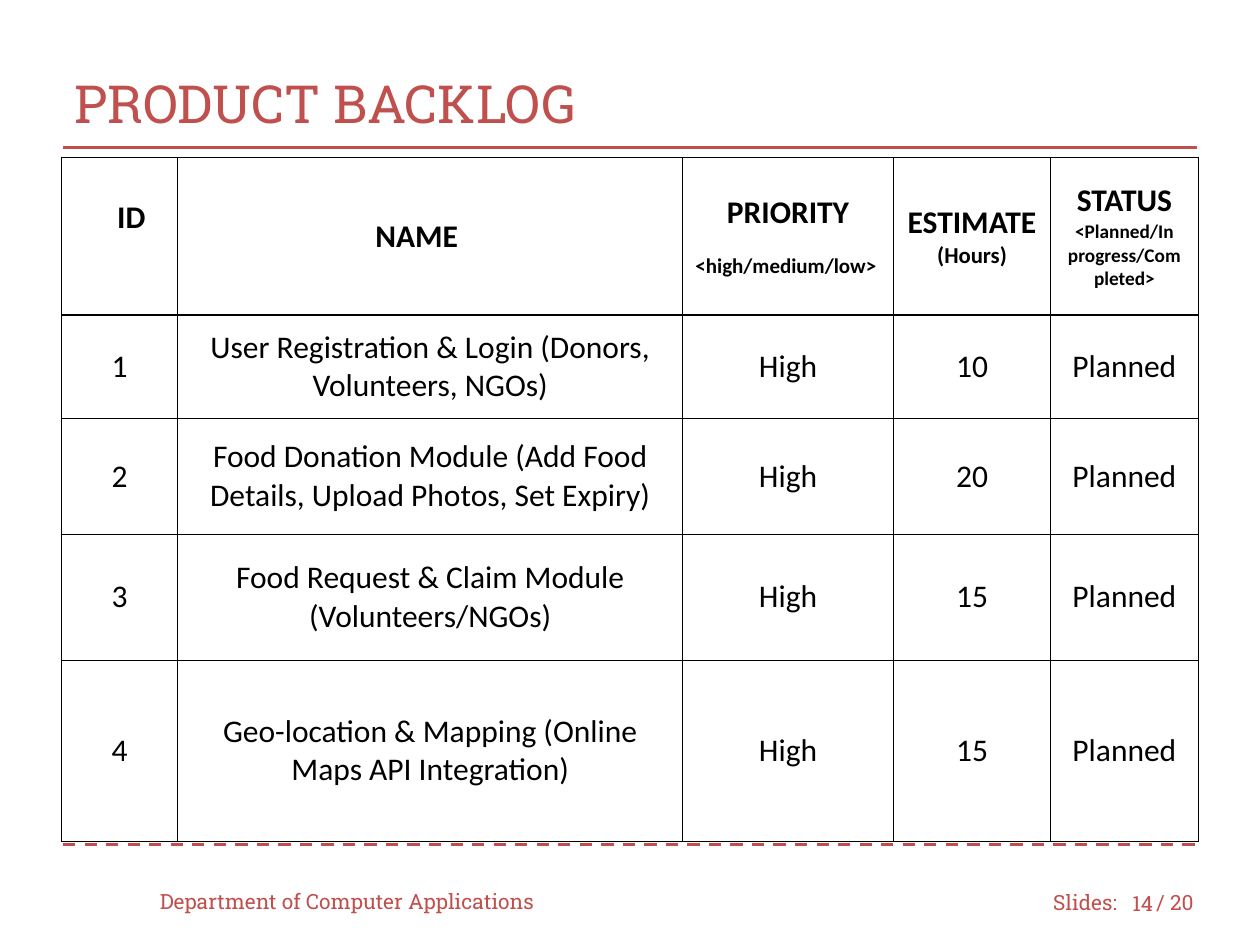
from lxml import etree
from pptx import Presentation
from pptx.dml.color import RGBColor
from pptx.enum.dml import MSO_LINE
from pptx.enum.shapes import MSO_CONNECTOR
from pptx.enum.text import MSO_ANCHOR, PP_ALIGN
from pptx.oxml.ns import qn
from pptx.util import Inches, Pt

LEFT, CENTER, RIGHT = PP_ALIGN.LEFT, PP_ALIGN.CENTER, PP_ALIGN.RIGHT
MIDDLE = MSO_ANCHOR.MIDDLE
STRAIGHT = MSO_CONNECTOR.STRAIGHT
DASH = MSO_LINE.DASH

RED, BLACK, WHITE = "C0504D", "000000", "FFFFFF"
SLAB, SANS = "Roboto Slab", "Calibri"

COLUMN_WIDTHS = [0.92, 4.01, 1.67, 1.25, 1.17]
ROW_HEIGHTS = [1.25, 0.82, 0.92, 1, 1.44]
HEADERS = [
    [("ID", 18)],
    [("NAME", 18)],
    [("PRIORITY", 18), ("<high/medium/low>", 12)],
    [("ESTIMATE", 18), ("(Hours)", 13)],
    [("STATUS", 18), ("<Planned/In progress/Completed>", 11)],
]
BACKLOG = [
    ("User Registration & Login (Donors, Volunteers, NGOs)", 10),
    ("Food Donation Module (Add Food Details, Upload Photos, Set Expiry)", 20),
    ("Food Request & Claim Module (Volunteers/NGOs)", 15),
    ("Geo-location & Mapping (Online Maps API Integration)", 15),
]


def color(value):
    return RGBColor.from_string(value)


def style_paragraph(para, size, font, tint, align=LEFT, bold=False):
    para.alignment = align
    para.font.size = Pt(size)
    para.font.name = font
    para.font.bold = bold
    para.font.color.rgb = color(tint)


def place(shape, left, top, width, height):
    shape.left, shape.top = Inches(left), Inches(top)
    shape.width, shape.height = Inches(width), Inches(height)


def add_title(page, text):
    title = page.shapes.title
    place(title, 0.49, 0.35, 9, 0.92)
    title.text_frame.text = text
    title.text_frame.vertical_anchor = MIDDLE
    style_paragraph(title.text_frame.paragraphs[0], 30, SLAB, RED)


def add_label(page, text, left, top, width, align=LEFT):
    box = page.shapes.add_textbox(Inches(left), Inches(top), Inches(width), Inches(0.4))
    frame = box.text_frame
    frame.word_wrap = True
    frame.vertical_anchor = MIDDLE
    frame.text = text
    style_paragraph(frame.paragraphs[0], 12, SLAB, RED, align)


def add_rule(page, top, dash=None):
    rule = page.shapes.add_connector(
        STRAIGHT, Inches(0.5), Inches(top), Inches(9.5), Inches(top))
    rule.line.color.rgb = color(RED)
    rule.line.width = Pt(1.75)
    if dash:
        rule.line.dash_style = dash
    etree.SubElement(rule.element.spPr, qn("a:effectLst"))


def add_borders(cell):
    properties = cell._tc.get_or_add_tcPr()
    for side in ("lnL", "lnR", "lnT", "lnB"):
        border = etree.SubElement(properties, qn(f"a:{side}"), w=str(Pt(0.75)))
        fill = etree.SubElement(border, qn("a:solidFill"))
        etree.SubElement(fill, qn("a:srgbClr"), val=BLACK)


def fill_cell(cell, lines, bold=False):
    add_borders(cell)
    cell.fill.solid()
    cell.fill.fore_color.rgb = color(WHITE)
    cell.vertical_anchor = MIDDLE
    cell.margin_left = cell.margin_right = Inches(0.1)
    cell.margin_top = cell.margin_bottom = Inches(0.1)
    cell.text = "\n".join(text for text, size in lines)
    for para, (text, size) in zip(cell.text_frame.paragraphs, lines):
        style_paragraph(para, size, SANS, BLACK, CENTER, bold)


def adjust_headers(table):
    for column, indent in ((0, 0.44), (1, 1.57)):
        cell = table.cell(0, column)
        cell.margin_left = Inches(indent)
        cell.text_frame.paragraphs[0].alignment = LEFT
    table.cell(0, 0).margin_bottom = Inches(0.4)
    scale = table.cell(0, 2).text_frame.paragraphs[1]
    scale.alignment = LEFT
    scale.space_before = Pt(12)


def add_backlog(page):
    frame = page.shapes.add_table(
        len(ROW_HEIGHTS), len(COLUMN_WIDTHS), Inches(0.49), Inches(1.25),
        Inches(sum(COLUMN_WIDTHS)), Inches(sum(ROW_HEIGHTS)))
    table = frame.table
    for column, width in zip(table.columns, COLUMN_WIDTHS):
        column.width = Inches(width)
    for row, height in zip(table.rows, ROW_HEIGHTS):
        row.height = Inches(height)
    for column, lines in enumerate(HEADERS):
        fill_cell(table.cell(0, column), lines, bold=True)
    for number, (name, hours) in enumerate(BACKLOG, start=1):
        values = (number, name, "High", hours, "Planned")
        for column, value in enumerate(values):
            fill_cell(table.cell(number, column), [(str(value), 18)])
    adjust_headers(table)


def main():
    deck = Presentation()
    deck.slide_width, deck.slide_height = Inches(10), Inches(7.5)
    page = deck.slides.add_slide(deck.slide_layouts[5])
    add_label(page, "Slides:", 8.26, 6.96, 0.75)
    add_label(page, "/ 20", 9.08, 6.96, 0.58)
    add_rule(page, 6.7, DASH)
    add_rule(page, 1.17)
    add_title(page, "PRODUCT BACKLOG")
    add_label(page, "Department of Computer Applications", 1.17, 6.95, 3.33)
    add_label(page, "14", 8.83, 6.97, 0.42, RIGHT)
    add_backlog(page)
    deck.save("out.pptx")


if __name__ == "__main__":
    main()
